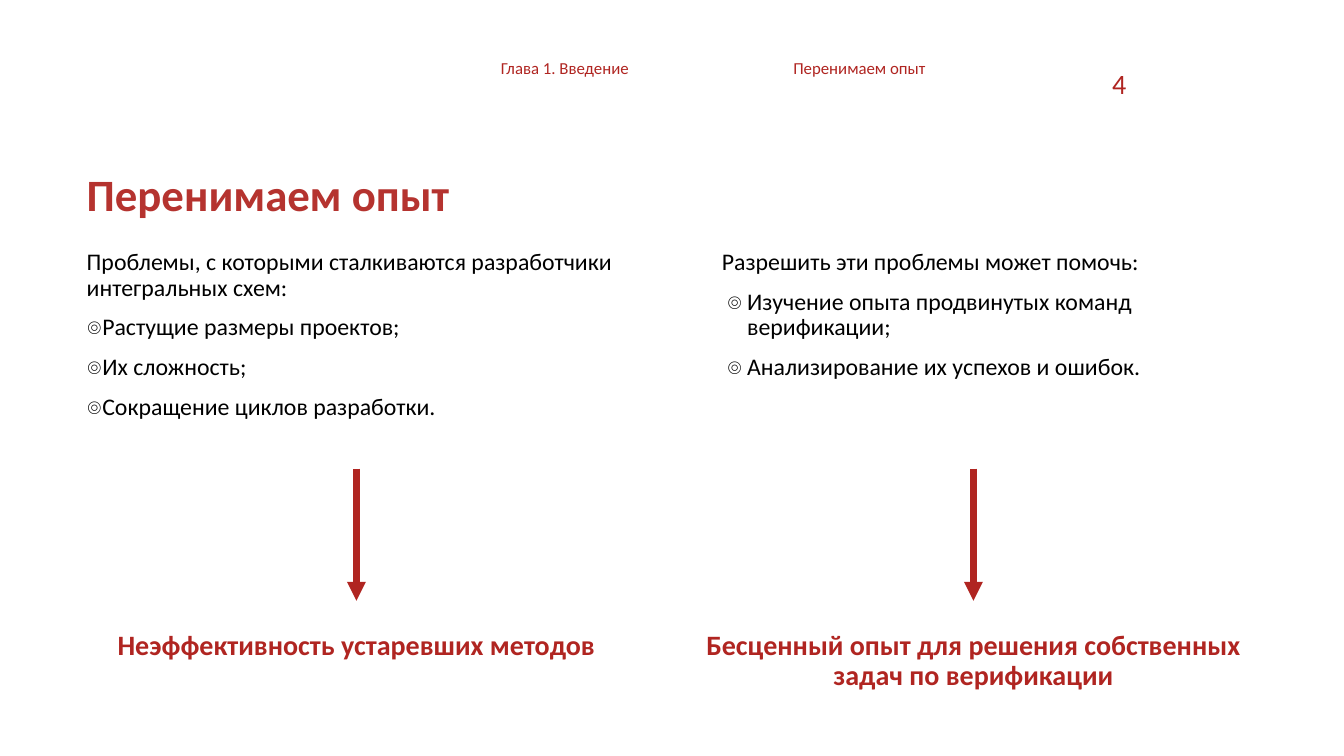
from lxml import etree
from pptx import Presentation
from pptx.dml.color import RGBColor
from pptx.enum.shapes import MSO_CONNECTOR
from pptx.enum.text import MSO_ANCHOR, MSO_AUTO_SIZE, PP_ALIGN
from pptx.oxml.ns import qn
from pptx.util import Inches, Pt

TOP, MIDDLE = MSO_ANCHOR.TOP, MSO_ANCHOR.MIDDLE
LEFT, CENTER, RIGHT = PP_ALIGN.LEFT, PP_ALIGN.CENTER, PP_ALIGN.RIGHT
NO_FIT = MSO_AUTO_SIZE.NONE
STRAIGHT = MSO_CONNECTOR.STRAIGHT

COLORS = {"title": "B5332F", "accent": "B02521", "text": "000000"}
FONT_NAME = "Calibri"
BULLET = "๏"

TITLE = {"size": Pt(32), "bold": True, "color": "title"}
BODY = {"size": Pt(17), "bold": False, "color": "text"}
HEADER = {"size": Pt(12), "bold": False, "color": "accent"}
NUMBER = {"size": Pt(20), "bold": False, "color": "accent"}
CONCLUSION = {"size": Pt(20), "bold": True, "color": "accent"}


def place(shape, box):
    for name, value in zip(("left", "top", "width", "height"), box):
        setattr(shape, name, Inches(value))


def set_frame(shape, anchor=TOP):
    frame = shape.text_frame
    settings = {"word_wrap": True, "auto_size": NO_FIT, "vertical_anchor": anchor}
    for name, value in settings.items():
        setattr(frame, name, value)
    return frame


def write(paragraph, text, style, **paragraph_format):
    for name, value in paragraph_format.items():
        setattr(paragraph, name, value)
    run = paragraph.add_run()
    run.text = text
    font_format = {"name": FONT_NAME, "size": style["size"], "bold": style["bold"]}
    for name, value in font_format.items():
        setattr(run.font, name, value)
    run.font.color.rgb = RGBColor.from_string(COLORS[style["color"]])


def set_bullet(paragraph, margin, indent, bullet=None):
    properties = paragraph._p.get_or_add_pPr()
    properties.set("marL", str(Inches(margin)))
    properties.set("indent", str(Inches(indent)))
    if bullet is None:
        etree.SubElement(properties, qn("a:buNone"))
        return
    bullet_color = etree.SubElement(properties, qn("a:buClr"))
    etree.SubElement(bullet_color, qn("a:srgbClr"), val=COLORS["text"])
    etree.SubElement(properties, qn("a:buFont"), typeface=FONT_NAME)
    etree.SubElement(properties, qn("a:buChar"), char=bullet)


def add_text(slide, box, text, style, anchor=TOP, **paragraph_format):
    shape = slide.shapes.add_textbox(*map(Inches, box))
    write(set_frame(shape, anchor).paragraphs[0], text, style, **paragraph_format)


def fill_title(shape, box, text):
    place(shape, box)
    paragraph = set_frame(shape, MIDDLE).paragraphs[0]
    write(paragraph, text, TITLE, alignment=LEFT, line_spacing=0.9)


def fill_list(shape, box, intro, items, margin):
    place(shape, box)
    frame = set_frame(shape)
    paragraph = frame.paragraphs[0]
    write(paragraph, intro, BODY, line_spacing=0.9, space_before=Pt(0))
    set_bullet(paragraph, 0, 0)
    for item in items:
        paragraph = frame.add_paragraph()
        write(paragraph, item, BODY, line_spacing=0.9, space_before=Pt(10))
        set_bullet(paragraph, margin, -0.2, BULLET)


def add_header(slide, box, labels, number):
    left, top, width, height = box
    for index, label in enumerate(labels):
        add_text(slide, (left + index * 2.9, top, 2.63, height), label, HEADER)
    number_box = (left + width - 0.36, top + 0.11, 0.36, 0.4)
    add_text(slide, number_box, number, NUMBER, MIDDLE, alignment=RIGHT)


def add_conclusion(slide, box, text):
    left, top, width, height = box
    center = left + width / 2
    ends = (center, top, center, top + 1.31)
    arrow = slide.shapes.add_connector(STRAIGHT, *map(Inches, ends))
    arrow.line.width = Pt(4.5)
    arrow.line.color.rgb = RGBColor.from_string(COLORS["accent"])
    etree.SubElement(arrow.line._get_or_add_ln(), qn("a:tailEnd"), type="triangle")
    etree.SubElement(arrow._element.spPr, qn("a:effectLst"))
    text_box = (left, top + 1.56, width, height - 1.56)
    add_text(slide, text_box, text, CONCLUSION, alignment=CENTER, line_spacing=0.9)


def build_slide(presentation):
    slide = presentation.slides.add_slide(presentation.slide_layouts[3])
    title, problems, solutions = slide.placeholders
    fill_title(title, (0.76, 1.48, 5.77, 0.95), "Перенимаем опыт")
    fill_list(
        problems,
        (0.76, 2.43, 5.77, 2.74),
        "Проблемы, с которыми сталкиваются разработчики интегральных схем:",
        ["Растущие размеры проектов;", "Их сложность;", "Сокращение циклов разработки."],
        0,
    )
    fill_list(
        solutions,
        (7.06, 2.43, 5.51, 4.97),
        "Разрешить эти проблемы может помочь:",
        [
            "Изучение опыта продвинутых команд верификации;",
            "Анализирование их успехов и ошибок.",
        ],
        0.25,
    )
    add_header(
        slide, (4.87, 0.52, 6.4, 0.3), ["Глава 1. Введение", "Перенимаем опыт"], "4"
    )
    add_conclusion(
        slide, (0.65, 4.65, 5.77, 1.93), "Неэффективность устаревших методов"
    )
    add_conclusion(
        slide,
        (6.82, 4.65, 5.67, 2.51),
        "Бесценный опыт для решения собственных задач по верификации",
    )


def main():
    presentation = Presentation()
    presentation.slide_width = Inches(13.33)
    presentation.slide_height = Inches(7.5)
    build_slide(presentation)
    presentation.save("out.pptx")


if __name__ == "__main__":
    main()
